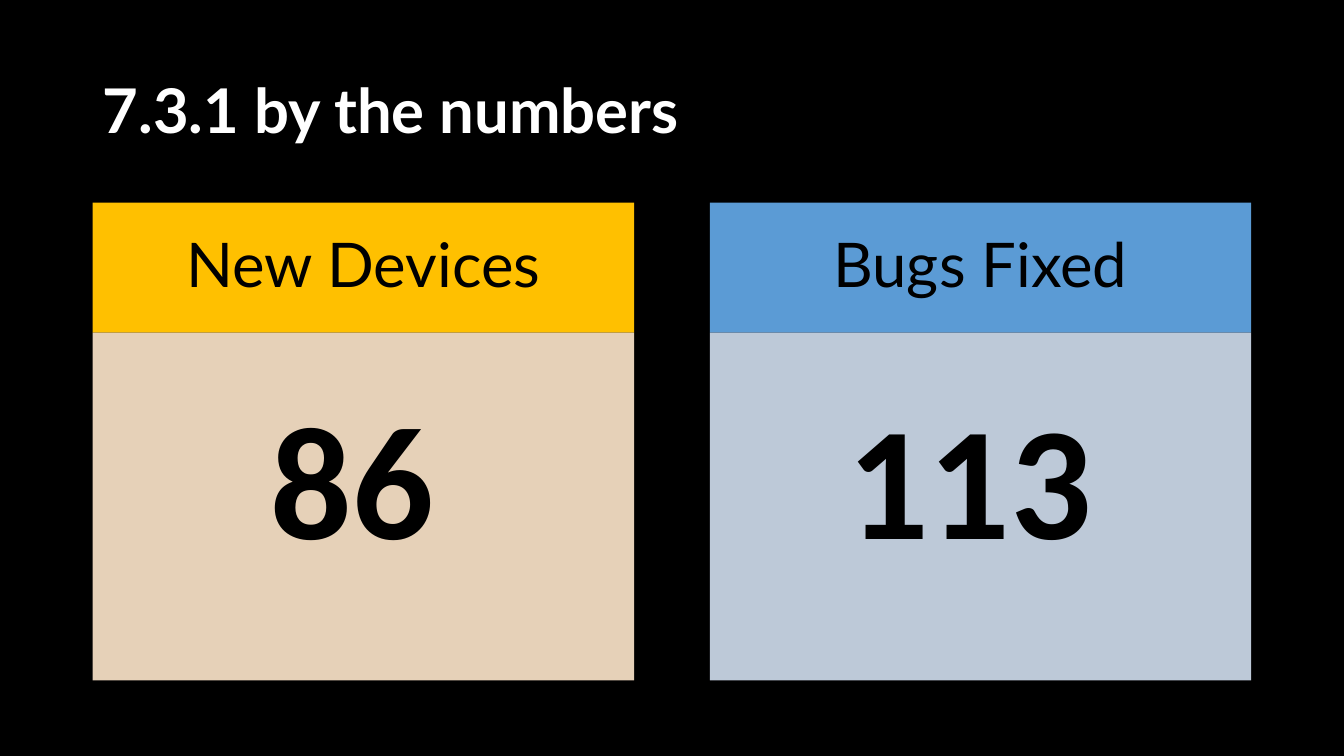
from lxml import etree
from pptx import Presentation
from pptx import util as u
from pptx.dml.color import RGBColor
from pptx.enum import shapes, text
from pptx.oxml.ns import qn

# Content
TITLE = "7.3.1 by the numbers"
CARDS = [  # heading, number, heading fill, body fill
    ("New Devices", "86", "FFC000", "FFE8CC"),
    ("Bugs Fixed", "113", "5B9BD5", "D2DFF0"),
]

# Layout in inches
WIDTH, HEIGHT = 13.33, 7.5
MARGIN, CARD_WIDTH, GAP = 0.92, 5.37, 0.75
TITLE_TOP, TITLE_HEIGHT = 0.4, 1.45
CARD_TOP, HEAD_HEIGHT, BODY_HEIGHT = 2.01, 1.29, 3.45
TITLE_INSETS = (0.1, 0.05, 0.1, 0.05)
HEAD_INSETS = (0.34, 0.2, 0.34, 0.2)
BODY_INSETS = (0.67, 0.67, 0.89, 1.01)


def paint(fill, color, opacity=100):
    fill.solid()
    fill.fore_color.rgb = RGBColor.from_string(color)
    if opacity < 100:
        tint = fill.fore_color._xFill.find(qn("a:srgbClr"))
        etree.SubElement(tint, qn("a:alpha")).set("val", str(opacity * 1000))


def write(box, words, insets, size, font, color, bold, align, anchor):
    frame = box.text_frame
    frame.text = words
    frame.word_wrap = True
    frame.vertical_anchor = anchor
    (frame.margin_left, frame.margin_top,
     frame.margin_right, frame.margin_bottom) = map(u.Inches, insets)
    para = frame.paragraphs[0]
    para.alignment = align
    para.line_spacing = 0.9
    span = para.runs[0].font
    span.size, span.name, span.bold = u.Pt(size), font, bold
    paint(span.fill, color)


def add_panel(page, left, top, height, color, opacity=100):
    panel = page.shapes.add_shape(shapes.MSO_SHAPE.RECTANGLE,
                                  *map(u.Inches, (left, top, CARD_WIDTH, height)))
    panel.shadow.inherit = False
    panel.line.fill.background()
    paint(panel.fill, color, opacity)
    return panel


def main():
    deck = Presentation()
    deck.slide_width, deck.slide_height = u.Inches(WIDTH), u.Inches(HEIGHT)
    page = deck.slides.add_slide(deck.slide_layouts[6])
    paint(page.background.fill, "000000")
    middle, top = text.MSO_ANCHOR.MIDDLE, text.MSO_ANCHOR.TOP
    left_align, center = text.PP_ALIGN.LEFT, text.PP_ALIGN.CENTER

    # Title
    title = page.shapes.add_textbox(*map(u.Inches, (
        MARGIN, TITLE_TOP, 2 * CARD_WIDTH + GAP, TITLE_HEIGHT)))
    write(title, TITLE, TITLE_INSETS, 44, "Lato", "FFFFFF", True, left_align, middle)

    # Cards: a heading panel above a number panel
    for column, (heading, number, head_fill, body_fill) in enumerate(CARDS):
        left = MARGIN + column * (CARD_WIDTH + GAP)
        head = add_panel(page, left, CARD_TOP, HEAD_HEIGHT, head_fill)
        write(head, heading, HEAD_INSETS, 44, "Lato", "000000", False, center, middle)
        body = add_panel(page, left, CARD_TOP + HEAD_HEIGHT, BODY_HEIGHT, body_fill, 90)
        write(body, number, BODY_INSETS, 115, "Calibri", "000000", True, center, top)

    deck.save("out.pptx")


if __name__ == "__main__":
    main()
